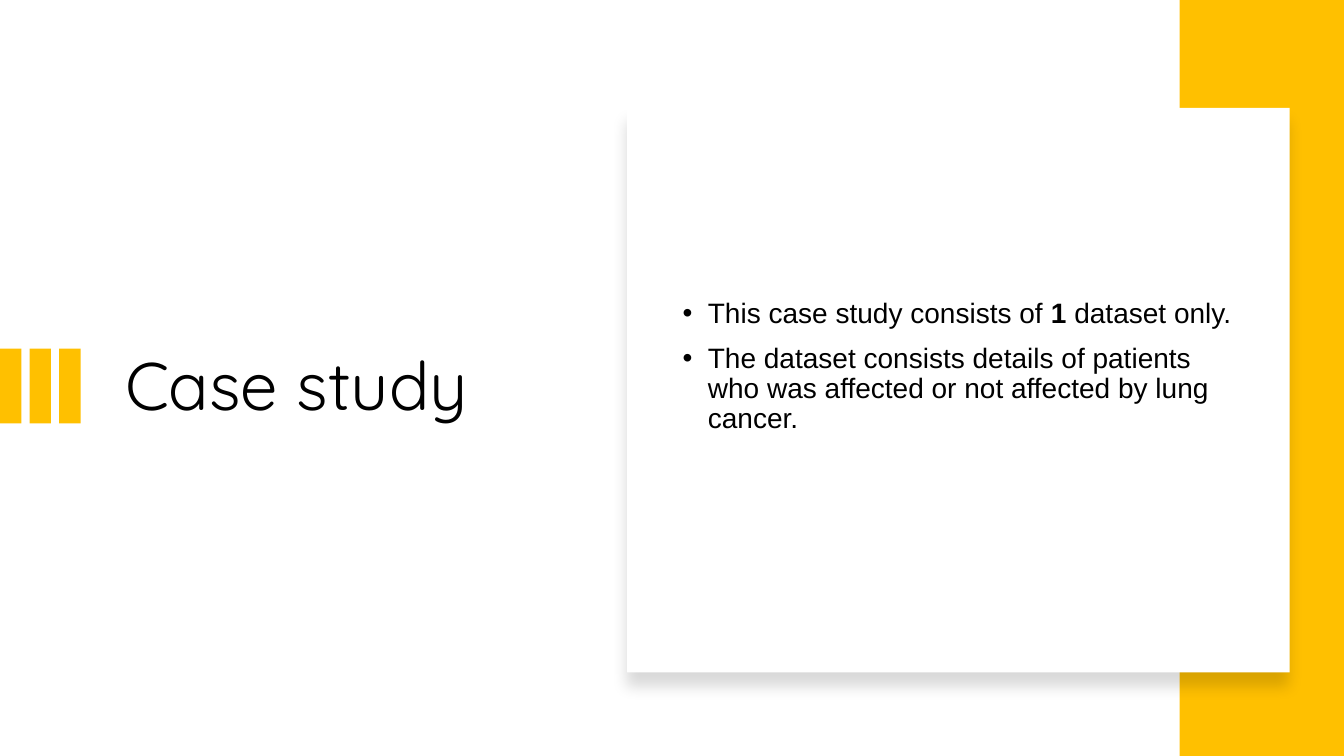
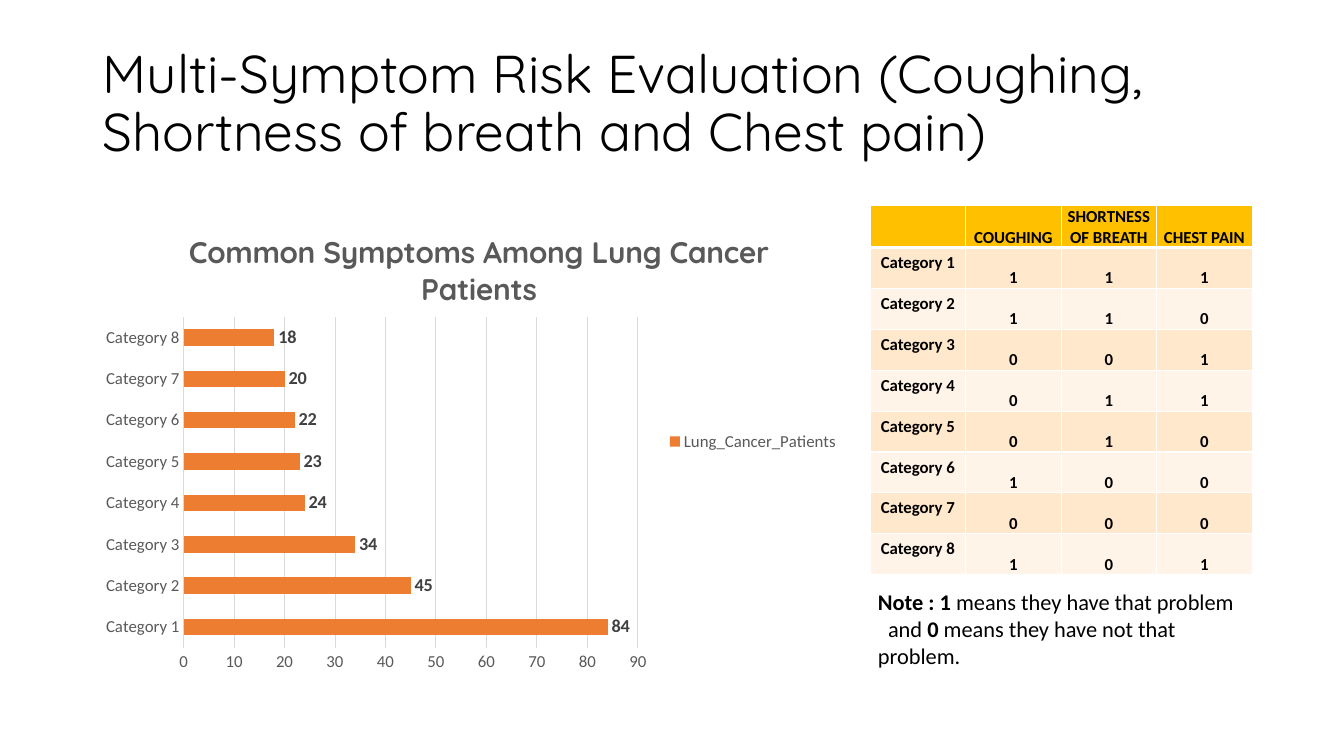
from lxml.etree import SubElement
from pptx import Presentation
from pptx.chart.data import CategoryChartData
from pptx.dml.color import RGBColor
from pptx.enum.chart import XL_CHART_TYPE, XL_LABEL_POSITION, XL_LEGEND_POSITION, XL_TICK_MARK
from pptx.enum.shapes import MSO_SHAPE
from pptx.enum.text import MSO_ANCHOR, MSO_AUTO_SIZE, PP_ALIGN
from pptx.oxml import parse_xml
from pptx.oxml.ns import nsdecls, qn
from pptx.util import Inches, Pt

WIDE, HIGH = Inches(13.33), Inches(7.5)
COLOR = {
    "gold": "FFC000", "white": "FFFFFF", "black": "000000",
    "odd": "FFE8CC", "even": "FFF4E7", "bar": "ED7D31",
    "gray": "595959", "dark": "404040", "grid": "D9D9D9",
}
HEAD, BODY, LIST = "Quicksand", "Calibri", "Arial"
CATS = [f"Category {n}" for n in range(1, 9)]
COUNTS = [84, 45, 34, 24, 23, 22, 20, 18]
SIGNS = ["COUGHING", "SHORTNESS OF BREATH", "CHEST PAIN"]
FLAGS = ["111", "110", "001", "011", "010", "100", "000", "101"]


def tone(name):
    return RGBColor.from_string(COLOR[name])


def area(left, top, width, height):
    return [int(WIDE * left / 100), int(HIGH * top / 100),
            int(WIDE * width / 100), int(HIGH * height / 100)]


def style(font, face=BODY, size=12, bold=False, color="black"):
    font.name, font.size, font.bold = face, Pt(size), bold
    font.color.rgb = tone(color)


def write(frame, text, align=PP_ALIGN.LEFT, line=1.0, before=0,
          anchor=MSO_ANCHOR.TOP, bold=False, **look):
    frame.word_wrap = True
    frame.vertical_anchor = anchor
    for num, row in enumerate(text.split("\n")):
        par = frame.add_paragraph() if num else frame.paragraphs[0]
        par.alignment, par.line_spacing = align, line
        par.space_before, par.space_after = Pt(before), Pt(0)
        for turn, part in enumerate(row.split("*")):
            if part:
                run = par.add_run()
                run.text = part
                style(run.font, bold=bold or turn % 2 == 1, **look)


def indent(par, left, first):
    props = par._p.get_or_add_pPr()
    props.set("marL", str(Inches(left)))
    props.set("indent", str(Inches(first)))
    return props


def fill(slide, box, color):
    rect = slide.shapes.add_shape(MSO_SHAPE.RECTANGLE, *box)
    rect.shadow.inherit = False
    rect.fill.solid()
    rect.fill.fore_color.rgb = tone(color)
    rect.line.fill.background()
    return rect


def place(slide, holder, box, text, **look):
    slide.shapes._spTree.append(holder._element)
    holder.left, holder.top, holder.width, holder.height = box
    write(holder.text_frame, text, anchor=MSO_ANCHOR.MIDDLE, line=0.9, **look)
    holder.text_frame.auto_size = MSO_AUTO_SIZE.NONE


def title(slide, box, text, size):
    place(slide, slide.shapes.title, box, text, face=HEAD, size=size)


def stripes(slide, box, count=3):
    left, top, width, height = box
    bar = width * 0.265
    step = (width - bar) / (count - 1)
    for num in range(count):
        fill(slide, [int(left + num * step), top, int(bar), height], "gold")


def panel(slide, box):
    card = fill(slide, box, "white")
    glow = card._element.spPr.find(qn("a:effectLst"))
    glow.append(parse_xml(
        f'<a:outerShdw {nsdecls("a")} blurRad="{Pt(11)}" dist="{Pt(10)}" '
        'dir="5400000" algn="t" rotWithShape="0">'
        f'<a:srgbClr val="{COLOR["black"]}"><a:alpha val="15000"/></a:srgbClr>'
        '</a:outerShdw>'))


def bullets(slide, box, text):
    body = slide.placeholders[1]
    place(slide, body, box, text, face=LIST, size=20, before=10)
    for par in body.text_frame.paragraphs:
        props = indent(par, 0.25, -0.25)
        SubElement(props, qn("a:buFont")).set("typeface", LIST)
        SubElement(props, qn("a:buChar")).set("char", "•")


def layout(parent, spot, **share):
    old = parent.find(qn("c:layout"))
    if old is not None:
        parent.remove(old)
    inner = '<c:layoutTarget val="inner"/>' if "w" in share else ""
    modes = "".join(f'<c:{key}Mode val="edge"/>' for key in "xy")
    sizes = "".join(f'<c:{key} val="{val}"/>' for key, val in share.items())
    parent.insert(spot, parse_xml(
        f'<c:layout {nsdecls("c")}><c:manualLayout>{inner}{modes}{sizes}'
        '</c:manualLayout></c:layout>'))


def rule(line, size):
    line.color.rgb = tone("grid")
    line.width = Pt(size)


def chart(slide, box):
    data = CategoryChartData()
    data.categories = CATS
    data.add_series("Lung_Cancer_Patients", COUNTS)
    graph = slide.shapes.add_chart(XL_CHART_TYPE.BAR_CLUSTERED, *box, data).chart
    style(graph.font, size=10)
    write(graph.chart_title.text_frame, "Common Symptoms Among Lung Cancer Patients",
          align=PP_ALIGN.CENTER, face=HEAD, size=21.3, bold=True, color="gray")
    graph.chart_title.include_in_layout = False
    layout(graph.chart_title._element, 1, x=0.12, y=0.05)
    layout(graph._chartSpace.chart.plotArea, 0, x=0.12, y=0.24, w=0.6, h=0.69)
    graph.has_legend = True
    graph.legend.position = XL_LEGEND_POSITION.RIGHT
    graph.legend.include_in_layout = False
    style(graph.legend.font, color="gray")
    for axis in (graph.category_axis, graph.value_axis):
        axis.major_tick_mark = axis.minor_tick_mark = XL_TICK_MARK.NONE
        style(axis.tick_labels.font, color="gray")
    graph.category_axis.has_major_gridlines = False
    rule(graph.category_axis.format.line, 1)
    graph.value_axis.format.line.fill.background()
    rule(graph.value_axis.major_gridlines.format.line, 0.75)
    plot = graph.plots[0]
    plot.gap_width, plot.vary_by_categories = 150, False
    bars = plot.series[0]
    bars.format.fill.solid()
    bars.format.fill.fore_color.rgb = tone("bar")
    labels = bars.data_labels
    labels.show_value, labels.position = True, XL_LABEL_POSITION.OUTSIDE_END
    style(labels.font, size=13, bold=True, color="dark")


def border(cell, base):
    props = cell._tc.get_or_add_tcPr()
    for num, (side, size) in enumerate(zip("LRTB", (1, 1, 1, base))):
        props.insert(num, parse_xml(
            f'<a:ln{side} {nsdecls("a")} w="{Pt(size)}"><a:solidFill>'
            f'<a:srgbClr val="{COLOR["white"]}"/></a:solidFill></a:ln{side}>'))


def table(slide, box):
    rows = [["", *SIGNS]] + [[cat, *bits] for cat, bits in zip(CATS, FLAGS)]
    grid = slide.shapes.add_table(len(rows), len(rows[0]), *box).table
    for num, row in enumerate(rows):
        for col, text in enumerate(row):
            cell = grid.cell(num, col)
            low = col > 0 or num == 0
            cell.fill.solid()
            cell.fill.fore_color.rgb = tone(
                ("odd" if num % 2 else "even") if num else "gold")
            if low:
                cell.margin_left = cell.margin_right = cell.margin_top = Inches(0.01)
                cell.margin_bottom = 0
            write(cell.text_frame, text, align=PP_ALIGN.CENTER, bold=True)
            cell.vertical_anchor = MSO_ANCHOR.BOTTOM if low else MSO_ANCHOR.TOP
            border(cell, 1 if num else 3)


def note(slide, box):
    frame = slide.shapes.add_textbox(*box).text_frame
    write(frame, "*Note : 1* means they have that problem\n"
          "and *0 *means they have not that\nproblem.", size=16)
    indent(frame.paragraphs[1], 0.1, 0)


def study(deck):
    slide = deck.slides.add_slide(deck.slide_layouts[1])
    stripes(slide, area(0, 46.13, 6, 9.87))
    fill(slide, area(87.77, 0, 12.23, 100), "gold")
    panel(slide, area(46.66, 14.27, 49.29, 74.67))
    title(slide, area(8.55, 19.47, 31.96, 63.87), "Case study", 48)
    bullets(slide, area(50.04, 19.47, 43.14, 58.2),
            "This case study consists of *1* dataset only.\n"
            "The dataset consists details of patients who was affected "
            "or not affected by lung cancer.")


def risk(deck):
    slide = deck.slides.add_slide(deck.slide_layouts[5])
    title(slide, area(6.9, 4.27, 86.27, 19.33),
          "Multi-Symptom Risk Evaluation (Coughing, "
          "Shortness of breath and Chest pain)", 38)
    chart(slide, area(6.9, 26.67, 56.34, 63.47))
    table(slide, area(64.74, 27.2, 28.43, 48.67))
    note(slide, area(64.59, 77.2, 28.43, 12.13))


def main():
    deck = Presentation()
    deck.slide_width, deck.slide_height = WIDE, HIGH
    study(deck)
    risk(deck)
    deck.save("out.pptx")


if __name__ == "__main__":
    main()
